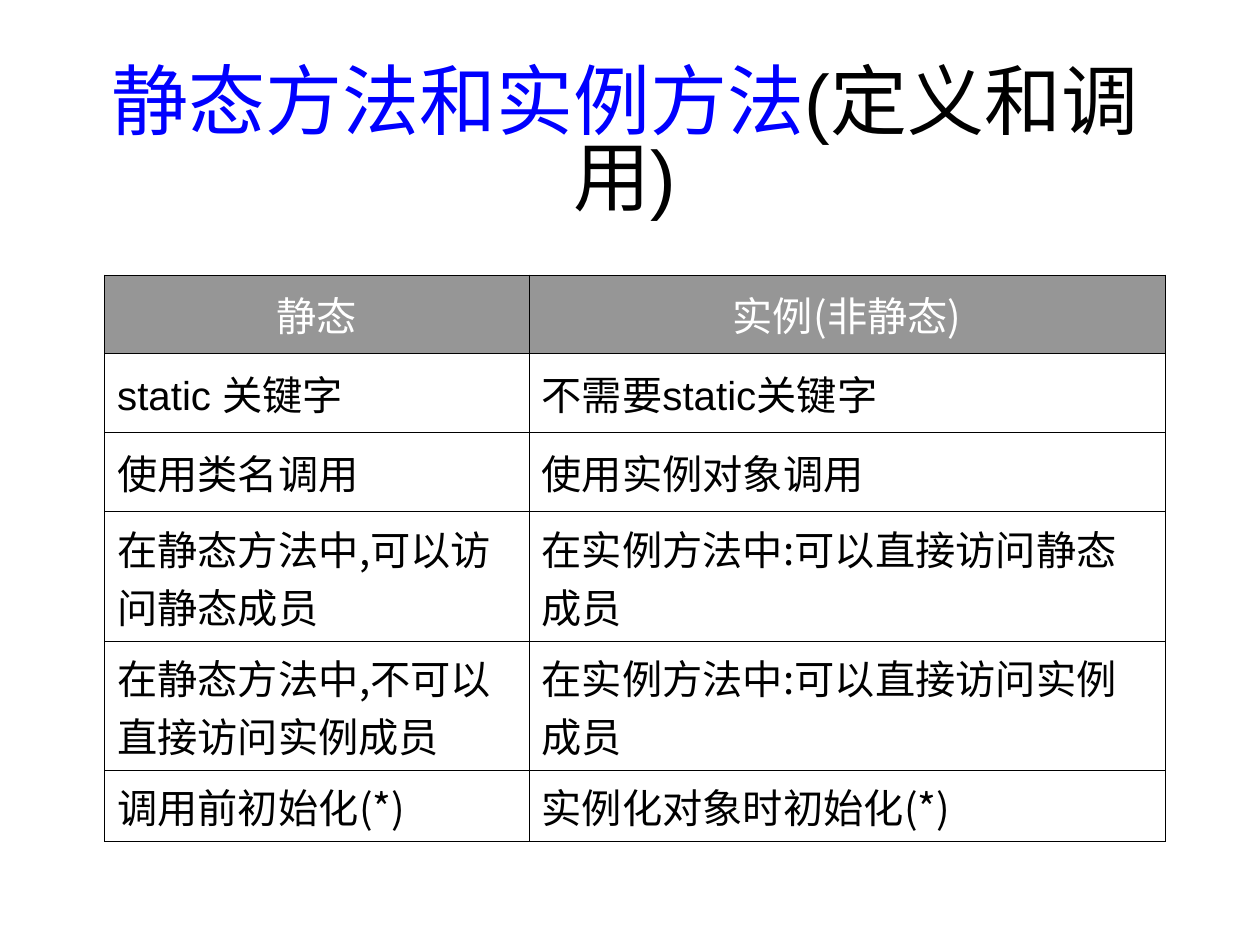
from lxml.etree import SubElement
from pptx import Presentation
from pptx.dml.color import RGBColor
from pptx.enum.text import MSO_ANCHOR as Anchor, MSO_AUTO_SIZE as AutoSize, PP_ALIGN as Align
from pptx.oxml.ns import qn
from pptx.util import Inches, Pt

WIDTH, HEIGHT = Inches(10), Inches(7.5)
COLORS = {"accent": "0000FF", "ink": "000000", "header": "969696", "paper": "FFFFFF"}
LATIN, HAN = "Arial", "Noto Sans CJK SC"
TITLE_BOX = (0.075, 0.048, 0.842, 0.21)
TABLE_BOX = (0.083, 0.291, 0.842, 0.548)
COLUMN_SHARES = (0.4, 0.6)
ROW_HEIGHTS = (0.62, 0.63, 0.63, 0.87, 0.87, 0.49)
ROWS = [
    ("静态", "实例(非静态)"),
    (("static ", "关键字"), ("不需要", "static", "关键字")),
    ("使用类名调用", "使用实例对象调用"),
    ("在静态方法中,可以访问静态成员", "在实例方法中:可以直接访问静态成员"),
    ("在静态方法中,不可以直接访问实例成员", "在实例方法中:可以直接访问实例成员"),
    ("调用前初始化(*)", "实例化对象时初始化(*)"),
]


def place(box):
    left, top, width, height = box
    return int(left * WIDTH), int(top * HEIGHT), int(width * WIDTH), int(height * HEIGHT)


def color(name):
    return RGBColor.from_string(COLORS[name])


def add_span(para, text, size, font, ink):
    span = para.add_run()
    span.text = text
    span.font.size = Pt(size)
    span.font.name = font
    span.font.color.rgb = color(ink)
    SubElement(span.font._element, qn("a:ea"), typeface=HAN)


def add_borders(cell):
    props = cell._tc.get_or_add_tcPr()
    for index, side in enumerate(("lnL", "lnR", "lnT", "lnB")):
        line = props.makeelement(qn(f"a:{side}"), {"w": str(Pt(0.45))})
        fill = SubElement(line, qn("a:solidFill"))
        SubElement(fill, qn("a:srgbClr"), val=COLORS["ink"])
        props.insert(index, line)


def build_title(page, box):
    title = page.shapes.title
    title.left, title.top, title.width, title.height = place(box)
    frame = title.text_frame
    frame.auto_size = AutoSize.NONE
    frame.word_wrap = True
    frame.vertical_anchor = Anchor.MIDDLE
    para = frame.paragraphs[0]
    para.alignment = Align.CENTER
    para.line_spacing = 0.83
    add_span(para, "静态方法和实例方法", 44, LATIN, "accent")
    add_span(para, "(定义和调用)", 44, LATIN, "ink")


def fill_cell(cell, content, is_header):
    cell.fill.solid()
    cell.fill.fore_color.rgb = color("header" if is_header else "paper")
    cell.vertical_anchor = Anchor.MIDDLE
    add_borders(cell)
    para = cell.text_frame.paragraphs[0]
    para.alignment = Align.CENTER if is_header else Align.LEFT
    for text in (content,) if isinstance(content, str) else content:
        font = LATIN if text.strip() == "static" else HAN
        add_span(para, text, 23, font, "paper" if is_header else "ink")


def build_table(page, box):
    left, top, width, height = place(box)
    table = page.shapes.add_table(len(ROWS), len(COLUMN_SHARES), left, top, width, height).table
    for column, share in zip(table.columns, COLUMN_SHARES):
        column.width = int(width * share)
    for row, row_height in zip(table.rows, ROW_HEIGHTS):
        row.height = Inches(row_height)
    for r, contents in enumerate(ROWS):
        for c, content in enumerate(contents):
            fill_cell(table.cell(r, c), content, r == 0)


def main():
    deck = Presentation()
    deck.slide_width, deck.slide_height = WIDTH, HEIGHT
    page = deck.slides.add_slide(deck.slide_layouts[5])
    build_title(page, TITLE_BOX)
    build_table(page, TABLE_BOX)
    deck.save("out.pptx")


if __name__ == "__main__":
    main()
